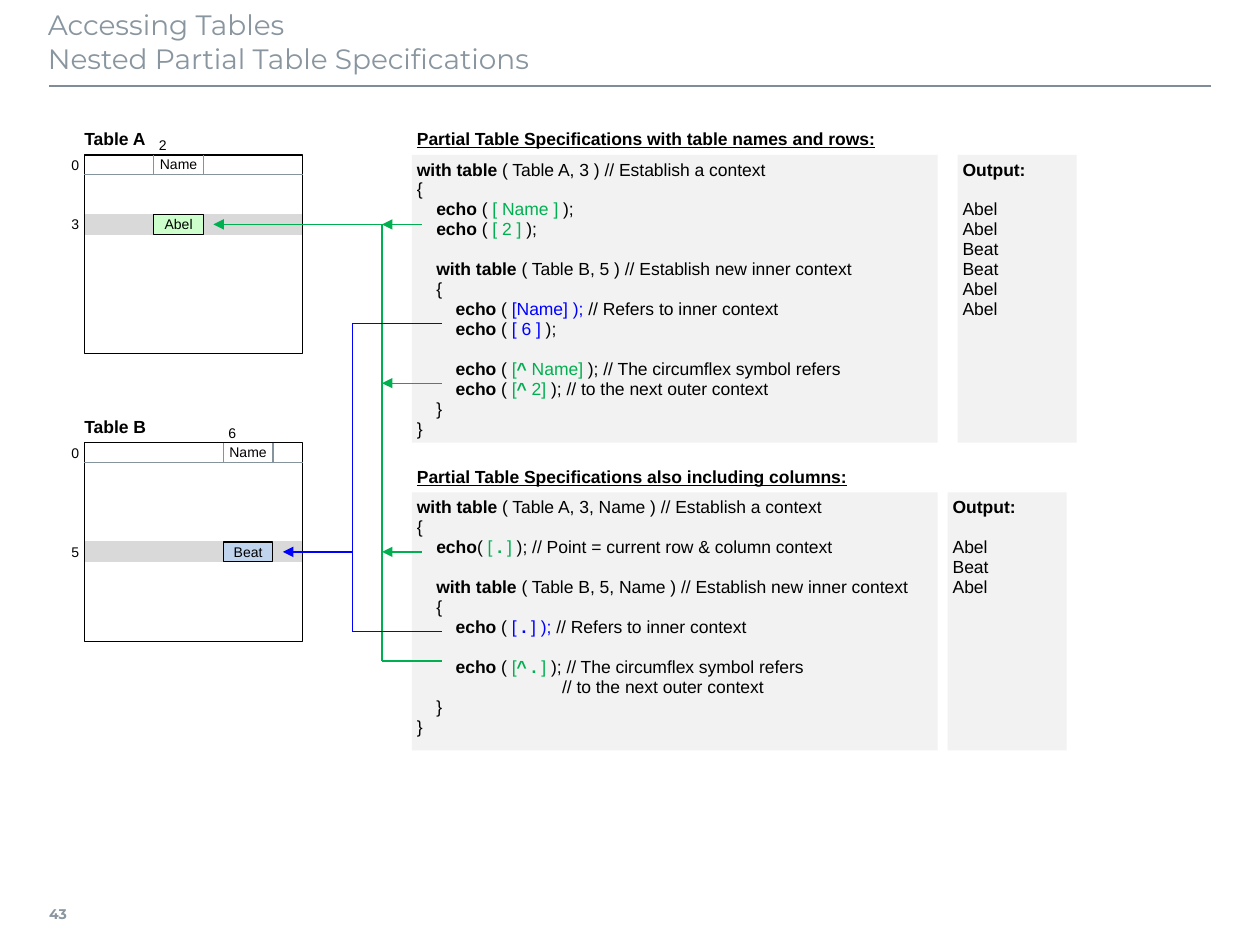
from lxml.etree import SubElement
from pptx import Presentation
from pptx.dml.color import RGBColor
from pptx.enum.shapes import MSO_CONNECTOR, MSO_SHAPE
from pptx.enum.text import MSO_ANCHOR, MSO_AUTO_SIZE, PP_ALIGN
from pptx.oxml.ns import qn
from pptx.util import Pt

COLORS = {
    "black": "000000", "green": "00B050", "blue": "0000FF", "title": "8996A0",
    "rule": "808D97", "grid": "85939D", "band": "D9D9D9", "panel": "F2F2F2",
    "mint": "CCFFCC", "sky": "C1D4EE",
}

# Everything below the title sits on a grid measured from Table A's corner
UNIT = 11.34
LEFT, TOP = 48.24, 88.56
INSET = 2.88
BLANK_LINE = 11.4

TABLE_WIDTH, TABLE_HEIGHT, CELL_WIDTH = 11, 10, 2.5
CODE_COLUMN, CODE_WIDTH, OUTPUT_WIDTH = 16.5, 26.5, 6


def color(name):
    return RGBColor.from_string(COLORS[name])


def grid_x(column):
    return Pt(round(LEFT + column * UNIT, 2))


def grid_y(row):
    return Pt(round(TOP + row * UNIT, 2))


def grid_box(column, row, width, height):
    return (grid_x(column), grid_y(row),
            Pt(round(width * UNIT, 2)), Pt(round(height * UNIT, 2)))


def set_frame(frame, insets, anchor, wrap=False):
    frame.word_wrap = wrap
    frame.auto_size = MSO_AUTO_SIZE.NONE
    frame.vertical_anchor = anchor
    (frame.margin_left, frame.margin_top,
     frame.margin_right, frame.margin_bottom) = (Pt(inset) for inset in insets)


def add_run(paragraph, text, size, color_name="black", bold=False,
            underline=False, font="Arial"):
    run = paragraph.add_run()
    run.text = text
    run.font.name = font
    run.font.size = Pt(size)
    run.font.bold = bold
    run.font.underline = underline
    run.font.color.rgb = color(color_name)


def write_label(shape, text, size=8, align=PP_ALIGN.LEFT, inset=INSET,
                spacing=1.0, **style):
    set_frame(shape.text_frame, [inset] * 4, MSO_ANCHOR.MIDDLE)
    paragraph = shape.text_frame.paragraphs[0]
    paragraph.alignment = align
    paragraph.line_spacing = spacing
    add_run(paragraph, text, size, **style)


def add_label(slide, box, text, **options):
    write_label(slide.shapes.add_textbox(*grid_box(*box)), text, **options)


def add_rectangle(slide, box, fill=None, line=None):
    shape = slide.shapes.add_shape(MSO_SHAPE.RECTANGLE, *grid_box(*box))
    shape.shadow.inherit = False
    if fill:
        shape.fill.solid()
        shape.fill.fore_color.rgb = color(fill)
    else:
        shape.fill.background()
    if line:
        shape.line.color.rgb = color(line)
        shape.line.width = Pt(0.75)
    else:
        shape.line.fill.background()
    return shape


def add_line(slide, start, end, color_name, width=0.75, arrow=False):
    connector = slide.shapes.add_connector(MSO_CONNECTOR.STRAIGHT, *start, *end)
    connector.line.color.rgb = color(color_name)
    connector.line.width = Pt(width)
    if arrow:
        SubElement(connector.line._get_or_add_ln(), qn("a:tailEnd"), type="triangle")
    SubElement(connector._element.spPr, qn("a:effectLst"))


def add_grid_line(slide, start, end, color_name, arrow=False):
    add_line(slide, (grid_x(start[0]), grid_y(start[1])),
             (grid_x(end[0]), grid_y(end[1])), color_name, arrow=arrow)


def add_title(slide, lines):
    title = slide.shapes.title
    title.left, title.top, title.width, title.height = Pt(27.36), Pt(0.72), Pt(663.12), Pt(45.36)
    set_frame(title.text_frame, (0, 3.6, 7.2, 3.6), MSO_ANCHOR.TOP, wrap=True)
    paragraph = title.text_frame.paragraphs[0]
    paragraph.alignment = PP_ALIGN.LEFT
    for index, line in enumerate(lines):
        if index:
            paragraph.add_line_break()
        add_run(paragraph, line, 16, "title", font="Montserrat")


def add_table_sketch(slide, top, name, column, column_number, row, value, fill):
    """Draw a schematic table with one named column and one marked row."""
    # Marked row, outline and header
    add_rectangle(slide, (0, top + row, TABLE_WIDTH, 1), "band", "band")
    add_rectangle(slide, (0, top, TABLE_WIDTH, TABLE_HEIGHT), line="black")
    add_grid_line(slide, (0, top + 1), (TABLE_WIDTH, top + 1), "grid")
    add_label(slide, (column, top, CELL_WIDTH, 1), "Name",
              align=PP_ALIGN.CENTER, inset=0, spacing=0.95)
    for edge in (column, column + CELL_WIDTH):
        add_grid_line(slide, (edge, top), (edge, top + 1), "grid")
    # Addressed cell
    cell = add_rectangle(slide, (column, top + row, CELL_WIDTH, 1), fill, "black")
    write_label(cell, value, align=PP_ALIGN.CENTER)
    # Row numbers, column number and table name
    for number in (row, 0):
        add_label(slide, (-1.5, top + number, 1.5, 1), str(number), align=PP_ALIGN.RIGHT)
    add_label(slide, (column, top - 1, 1.5, 1), column_number)
    add_label(slide, (0, top - 1.5, 7.5, 1.5), name, size=10, inset=0,
              spacing=0.9, bold=True)


def add_panel(slide, box, lines):
    """Fill a grey panel; a line is a list of runs, and None leaves a gap."""
    frame = add_rectangle(slide, box, "panel").text_frame
    set_frame(frame, [INSET] * 4, MSO_ANCHOR.TOP)
    gap = 0
    for index, line in enumerate(lines):
        if line is None:
            gap = BLANK_LINE
            continue
        paragraph = frame.add_paragraph() if index else frame.paragraphs[0]
        paragraph.alignment = PP_ALIGN.LEFT
        paragraph.line_spacing = 0.95
        if gap:
            paragraph.space_before = Pt(gap)
            gap = 0
        for text, *style in line:
            add_run(paragraph, text, 10, *style)


def add_example(slide, top, height, heading, code, output_column, output):
    add_panel(slide, (CODE_COLUMN, top, CODE_WIDTH, height), code)
    add_label(slide, (CODE_COLUMN, top - 1.5, 7.5, 1.5), heading, size=10,
              spacing=0.9, bold=True, underline=True)
    add_panel(slide, (output_column, top, OUTPUT_WIDTH, height),
              [[("Output:", "black", True)], None] + [[(text,)] for text in output])


def plain(text):
    return [(text,)]


def with_table(indent, rest):
    return [(indent + "with table ", "black", True), (rest,)]


def echo(indent, opening, *runs):
    return [(indent + "echo", "black", True), (opening,), *runs]


def main():
    presentation = Presentation()
    presentation.slide_width, presentation.slide_height = Pt(720), Pt(540)
    slide = presentation.slides.add_slide(presentation.slide_layouts[5])

    # Title, rule and page number
    add_title(slide, ["Accessing Tables", "Nested Partial Table Specifications"])
    add_line(slide, (Pt(28.08), Pt(48.96)), (Pt(691.92), Pt(48.96)), "rule", width=1)
    number = slide.shapes.add_textbox(Pt(28.08), Pt(508.32), Pt(25.2), Pt(28.08))
    write_label(number, "43", color_name="title", bold=True, font="Montserrat")
    number.text_frame.margin_left = 0

    # Tables
    add_table_sketch(slide, 0, "Table A", 3.5, "2", 3, "Abel", "mint")
    add_table_sketch(slide, 14.5, "Table B", 7, "6", 5, "Beat", "sky")

    # Code examples with their output
    inner, deep = " " * 4, " " * 8
    add_example(slide, 0, 14.5, "Partial Table Specifications with table names and rows:", [
        with_table("", "( Table A, 3 ) // Establish a context"),
        plain("{"),
        echo(inner, " ( ", ("[ Name ] ", "green"), (");",)),
        echo(inner, " ( ", ("[ 2 ] ", "green"), (");",)),
        None,
        with_table(inner, "( Table B, 5 ) // Establish new inner context"),
        plain(inner + "{"),
        echo(deep, " ( ", ("[Name] );", "blue"), (" // Refers to inner context",)),
        echo(deep, " ( ", ("[ 6 ]", "blue"), (" );",)),
        None,
        echo(deep, " ( ", ("[", "green"), ("^ ", "green", True), ("Name] ", "green"),
             ("); // The circumflex symbol refers",)),
        echo(deep, " ( ", ("[", "green"), ("^ ", "green", True), ("2]", "green"),
             (" ); // to the next outer context",)),
        plain(inner + "}"),
        plain("}"),
    ], 44, ["Abel", "Abel", "Beat", "Beat", "Abel", "Abel"])
    add_example(slide, 17, 13, "Partial Table Specifications also including columns:", [
        with_table("", "( Table A, 3, Name ) // Establish a context"),
        plain("{"),
        echo(inner, "( ", ("[ ", "green"), (".", "green", True), (" ]", "green"),
             (" ); // Point = current row & column context",)),
        None,
        with_table(inner, "( Table B, 5, Name ) // Establish new inner context"),
        plain(inner + "{"),
        echo(deep, " ( ", ("[ ", "blue"), (".", "blue", True), (" ] ); ", "blue"),
             ("// Refers to inner context",)),
        None,
        echo(deep, " ( ", ("[", "green"), ("^ . ", "green", True), ("] ", "green"),
             ("); // The circumflex symbol refers",)),
        plain(" " * 30 + "// to the next outer context"),
        plain(inner + "}"),
        plain("}"),
    ], 43.5, ["Abel", "Beat", "Abel"])

    # References from the code to the cells: start, end, colour, arrowhead
    for reference in [
        ((15, 3.5), (6.5, 3.5), "green", True),
        ((15, 25.5), (15, 3.5), "green", False),
        ((17, 3.5), (15, 3.5), "green", True),
        ((18, 11.5), (15, 11.5), "green", True),
        ((17, 20), (15, 20), "green", True),
        ((18, 25.5), (15, 25.5), "green", False),
        ((13.5, 24), (13.5, 8.5), "blue", False),
        ((18, 8.5), (13.5, 8.5), "blue", False),
        ((18, 24), (13.5, 24), "blue", False),
        ((13.5, 20), (10, 20), "blue", True),
    ]:
        add_grid_line(slide, *reference)

    presentation.save("out.pptx")


if __name__ == "__main__":
    main()
